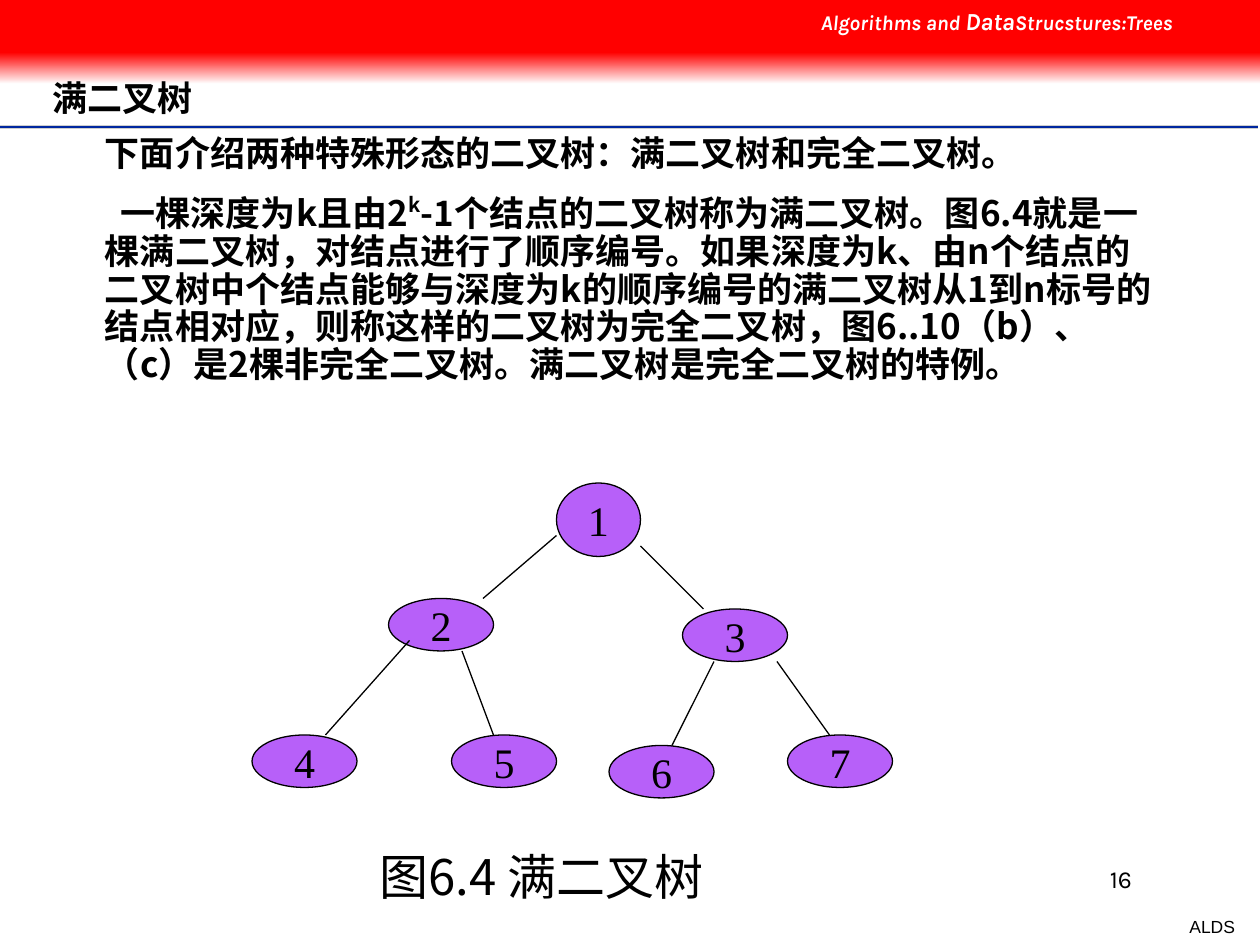
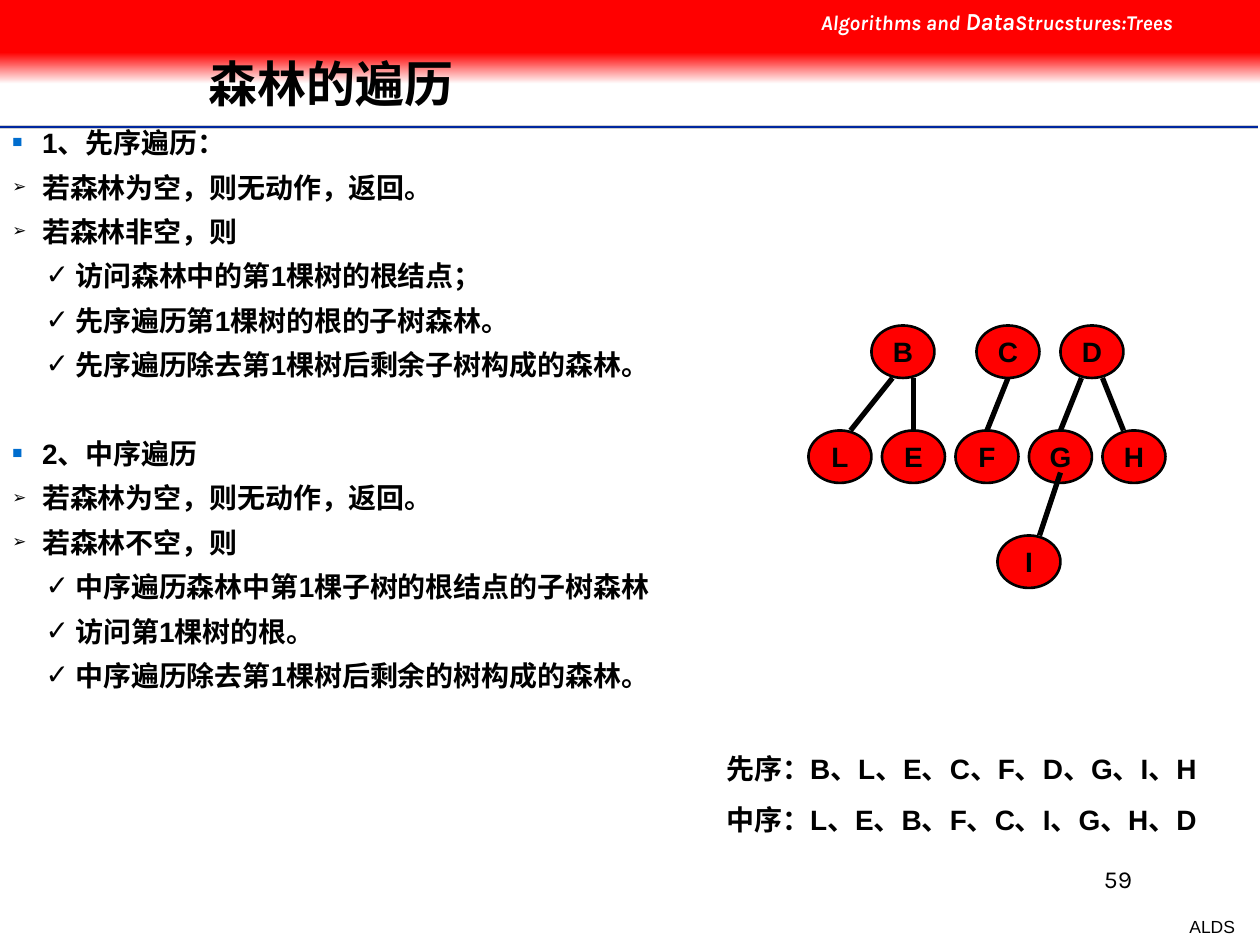
from dataclasses import dataclass, field

from lxml import etree
from pptx import Presentation
from pptx.dml import color as col
from pptx.enum import shapes as es, text as et
from pptx.oxml import ns
from pptx.util import Pt

HUES = {
    "red": "FF0000", "white": "FFFFFF", "black": "000000", "grey": "CECECE",
    "navy": "00279F", "blue": "006DCE", "violet": "B760F9",
}
HAN = "Noto Sans CJK SC"
RIGHT = {"alignment": et.PP_ALIGN.RIGHT}
CENTER = {"alignment": et.PP_ALIGN.CENTER}
MIDDLE = et.MSO_ANCHOR.MIDDLE
GROW = et.MSO_AUTO_SIZE.SHAPE_TO_FIT_TEXT


@dataclass
class Run:
    text: str
    font: dict
    hue: str = "black"
    lift: int = 0


@dataclass
class Mark:
    char: str
    hue: str
    scale: int
    left: float


@dataclass
class Para:
    runs: list[Run]
    form: dict = field(default_factory=dict)
    mark: Mark | None = None
    indent: float = 0


@dataclass
class Node:
    tag: str
    x: float
    y: float
    w: float
    h: float = 30


@dataclass
class Style:
    fill: str
    rim: float
    edge: float
    font: dict


@dataclass
class Tree:
    nodes: list[Node]
    links: list[tuple]
    style: Style


def rgb(hue: str) -> col.RGBColor:
    return col.RGBColor.from_string(HUES[hue])


def apply(obj, form: dict) -> None:
    for key, val in form.items():
        setattr(obj, key, val)


def add_mark(props, mark: Mark) -> None:
    props.set("marL", str(Pt(mark.left)))
    props.set("indent", str(-Pt(17)))
    tint = etree.SubElement(props, ns.qn("a:buClr"))
    etree.SubElement(tint, ns.qn("a:srgbClr"), val=HUES[mark.hue])
    etree.SubElement(props, ns.qn("a:buSzPct"), val=str(mark.scale * 1000))
    etree.SubElement(props, ns.qn("a:buFont"), typeface="Arial")
    etree.SubElement(props, ns.qn("a:buChar"), char=mark.char)


def write(frame, paras: list[Para]) -> None:
    for i, para in enumerate(paras):
        line = frame.paragraphs[0] if i == 0 else frame.add_paragraph()
        apply(line, para.form)
        props = line._p.get_or_add_pPr()
        if para.mark:
            add_mark(props, para.mark)
        elif para.indent:
            props.set("indent", str(Pt(para.indent)))
        for part in para.runs:
            run = line.add_run()
            run.text = part.text
            apply(run.font, part.font)
            run.font.color.rgb = rgb(part.hue)
            attrs = run._r.get_or_add_rPr()
            attrs.find(ns.qn("a:latin")).addnext(
                etree.Element(ns.qn("a:ea"), typeface=HAN))
            if part.lift:
                attrs.set("baseline", str(part.lift * 1000))


def add_text(slide, box: tuple, paras: list[Para], pad: bool = True, **form) -> None:
    frame = slide.shapes.add_textbox(*map(Pt, box)).text_frame
    apply(frame, {"word_wrap": True} | form)
    if not pad:
        apply(frame, {f"margin_{side}": 0 for side in ("left", "top", "right", "bottom")})
    write(frame, paras)


def add_line(slide, ends: tuple, hue: str, width: float):
    line = slide.shapes.add_connector(es.MSO_CONNECTOR.STRAIGHT, *map(Pt, ends))
    line.line.color.rgb = rgb(hue)
    line.line.width = Pt(width)
    etree.SubElement(line._element.spPr, ns.qn("a:effectLst"))
    return line


def add_band(slide, top: float, height: float):
    band = slide.shapes.add_shape(
        es.MSO_SHAPE.RECTANGLE, 0, Pt(top), Pt(720), Pt(height))
    band.shadow.inherit = False
    band.line.fill.background()
    return band


def add_frame(slide, page: str) -> None:
    for y, hue, width in ((72.7, "grey", 2), (72.7, "navy", 1), (74.2, "white", 1)):
        add_line(slide, (0, y, 718.6, y), hue, width)
    add_text(slide, (672.5, 519.8, 40.3, 19.4),
             [Para([Run("ALDS", {"size": Pt(10), "name": "Arial"})], RIGHT)],
             word_wrap=False, auto_size=GROW)
    add_text(slide, (516, 490.3, 138, 36),
             [Para([Run(page, {"size": Pt(14), "name": "Karla"})], RIGHT)])
    fade = add_band(slide, 30, 18).fill
    fade.gradient()
    fade.gradient_angle = 270
    for stop, hue in zip(fade.gradient_stops, ("red", "white")):
        stop.color.rgb = rgb(hue)
    fill = add_band(slide, 0, 30).fill
    fill.solid()
    fill.fore_color.rgb = rgb("red")
    parts = (("Algorithms and ", 12), ("Data", 14), ("Strucstures:Trees", 12))
    base = {"name": "Karla", "bold": True, "italic": True}
    add_text(slide, (462, 0, 258, 24.5),
             [Para([Run(t, base | {"size": Pt(s)}, "white") for t, s in parts])],
             auto_size=GROW)


def add_title(slide, box: tuple, title: str, size: float, name: str, pad: bool) -> None:
    font = {"size": Pt(size), "name": name, "bold": True}
    add_text(slide, box, [Para([Run(title, font)], {"line_spacing": 0.9})],
             pad, vertical_anchor=MIDDLE)


def add_tree(slide, tree: Tree) -> None:
    style = tree.style
    tops = {}
    for node in tree.nodes:
        oval = slide.shapes.add_shape(
            es.MSO_SHAPE.OVAL, *map(Pt, (node.x, node.y, node.w, node.h)))
        oval.shadow.inherit = False
        oval.fill.solid()
        oval.fill.fore_color.rgb = rgb(style.fill)
        oval.line.color.rgb = rgb("black")
        oval.line.width = Pt(style.rim)
        apply(oval.text_frame, {"word_wrap": False, "vertical_anchor": MIDDLE})
        write(oval.text_frame, [Para([Run(node.tag, style.font)], CENTER)])
        tops[node.x + node.w / 2, node.y] = oval
    for ends in tree.links:
        line = add_line(slide, ends, "black", style.edge)
        if ends[2:] in tops:
            line.end_connect(tops[ends[2:]], 0)


def add_full(slide) -> None:
    add_frame(slide, "16")
    font = {"size": Pt(20), "name": HAN, "bold": True}
    form = {"line_spacing": 0.9, "space_after": Pt(12.5)}
    intro = "下面介绍两种特殊形态的二叉树：满二叉树和完全二叉树。"
    rest = (
        "-1个结点的二叉树称为满二叉树。图6.4就是一棵满二叉树，对结点进行了顺序编号。"
        "如果深度为k、由n个结点的二叉树中个结点能够与深度为k的顺序编号的满二叉树"
        "从1到n标号的结点相对应，则称这样的二叉树为完全二叉树，"
        "图6..10（b）、（c）是2棵非完全二叉树。满二叉树是完全二叉树的特例。"
    )
    add_text(slide, (60, 78, 606, 174), [
        Para([Run(intro, font)], form),
        Para([Run("一棵深度为k且由2", font), Run("k", font, lift=40), Run(rest, font)],
             form, indent=9),
    ], pad=False)
    spots = (("2", 222, 342), ("4", 144, 420), ("5", 258, 420),
             ("3", 390, 348), ("6", 348, 426), ("7", 450, 420))
    add_tree(slide, Tree(
        [Node(*spot, 60) for spot in spots] + [Node("1", 318, 276, 48, 42)],
        [(366, 312, 402, 348), (444, 378, 474, 420), (408, 378, 384, 426),
         (264, 372, 282, 420), (234, 366, 186, 420), (318, 306, 276, 342)],
        Style("violet", 0.75, 0.75, {"size": Pt(24), "name": "Times New Roman"}),
    ))
    add_text(slide, (210, 480, 252, 41),
             [Para([Run("图6.4 满二叉树", {"size": Pt(28), "name": HAN})])],
             auto_size=GROW)
    add_title(slide, (30, 12, 612, 90), "满二叉树", 20, HAN, False)


def add_walks(slide) -> None:
    add_frame(slide, "59")
    add_title(slide, (112.3, 23, 543.6, 53.3), "森林的遍历", 28, "Arial", True)
    font = {"size": Pt(16), "name": "Arial", "bold": True}
    head = Mark("■", "blue", 60, 17)
    case = Mark("➢", "black", 60, 17)
    step = Mark("✓", "black", 100, 36)
    rows = (
        (head, "1、先序遍历："),
        (case, "若森林为空，则无动作，返回。"),
        (case, "若森林非空，则"),
        (step, "访问森林中的第1棵树的根结点；"),
        (step, "先序遍历第1棵树的根的子树森林。"),
        (step, "先序遍历除去第1棵树后剩余子树构成的森林。"),
        (head, "2、中序遍历"),
        (case, "若森林为空，则无动作，返回。"),
        (case, "若森林不空，则"),
        (step, "中序遍历森林中第1棵子树的根结点的子树森林"),
        (step, "访问第1棵树的根。"),
        (step, "中序遍历除去第1棵树后剩余的树构成的森林。"),
    )
    form = {"line_spacing": 0.8, "space_after": Pt(10)}
    paras = [Para([Run(text, font)], form, mark) for mark, text in rows]
    paras[6].form = form | {"space_before": Pt(25.4)}
    add_text(slide, (0, 72, 474, 327), paras, auto_size=GROW)
    add_text(slide, (408, 426, 294, 94.3), [
        Para([Run("先序：B、L、E、C、F、D、G、I、H", font)]),
        Para([Run("中序：L、E、B、F、C、I、G、H、D", font)], {"space_before": Pt(10)}),
    ], auto_size=GROW)
    roots = [Node(tag, x, 186, 36) for tag, x in (("B", 498), ("C", 558), ("D", 606))]
    kids = [Node(tag, 462 + 42 * i, 246, 36) for i, tag in enumerate("LEFGH")]
    add_tree(slide, Tree(
        roots + kids + [Node("I", 570, 306, 36)],
        [(510, 216, 486, 246), (522, 216, 522, 246), (576, 216, 564, 246),
         (618, 216, 606, 246), (630, 216, 642, 246), (606, 270, 594, 306)],
        Style("red", 1.5, 3, font),
    ))


def main() -> None:
    deck = Presentation()
    apply(deck, {"slide_width": Pt(720), "slide_height": Pt(540)})
    for build in (add_full, add_walks):
        build(deck.slides.add_slide(deck.slide_layouts[6]))
    deck.save("out.pptx")


if __name__ == "__main__":
    main()
